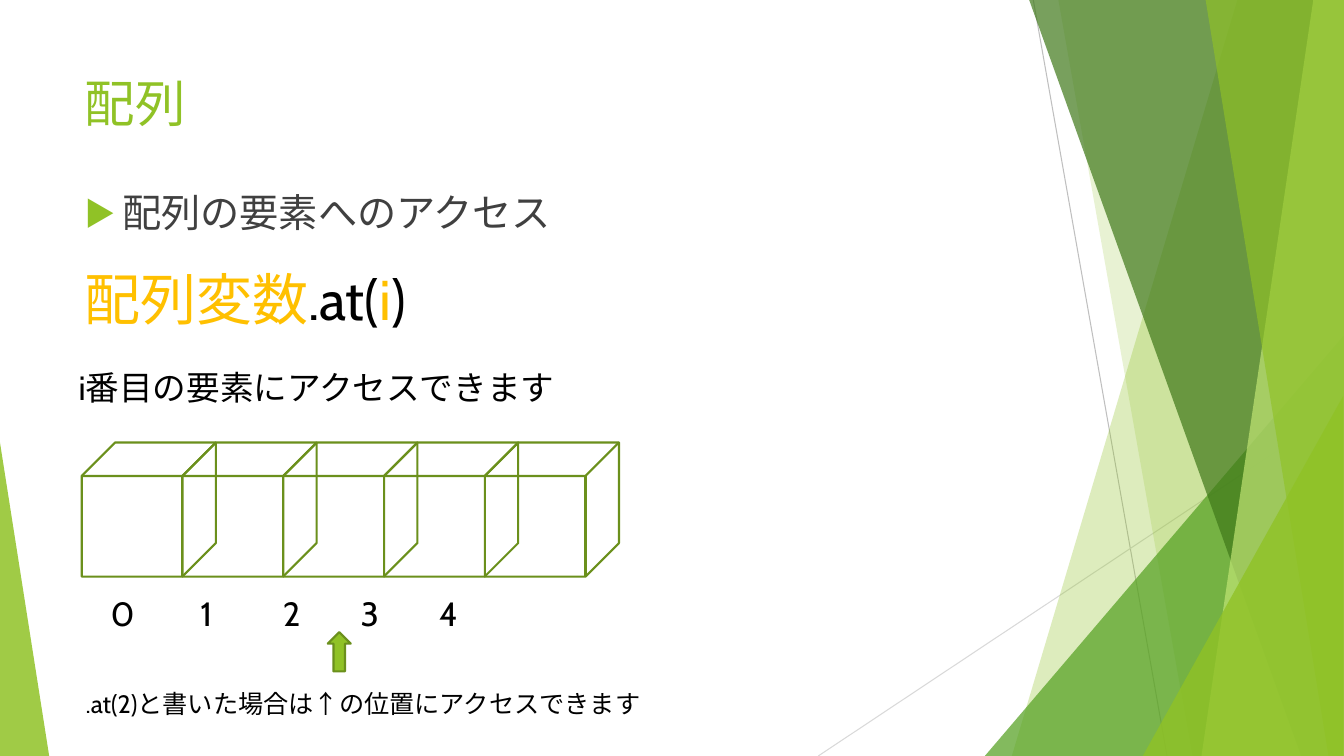
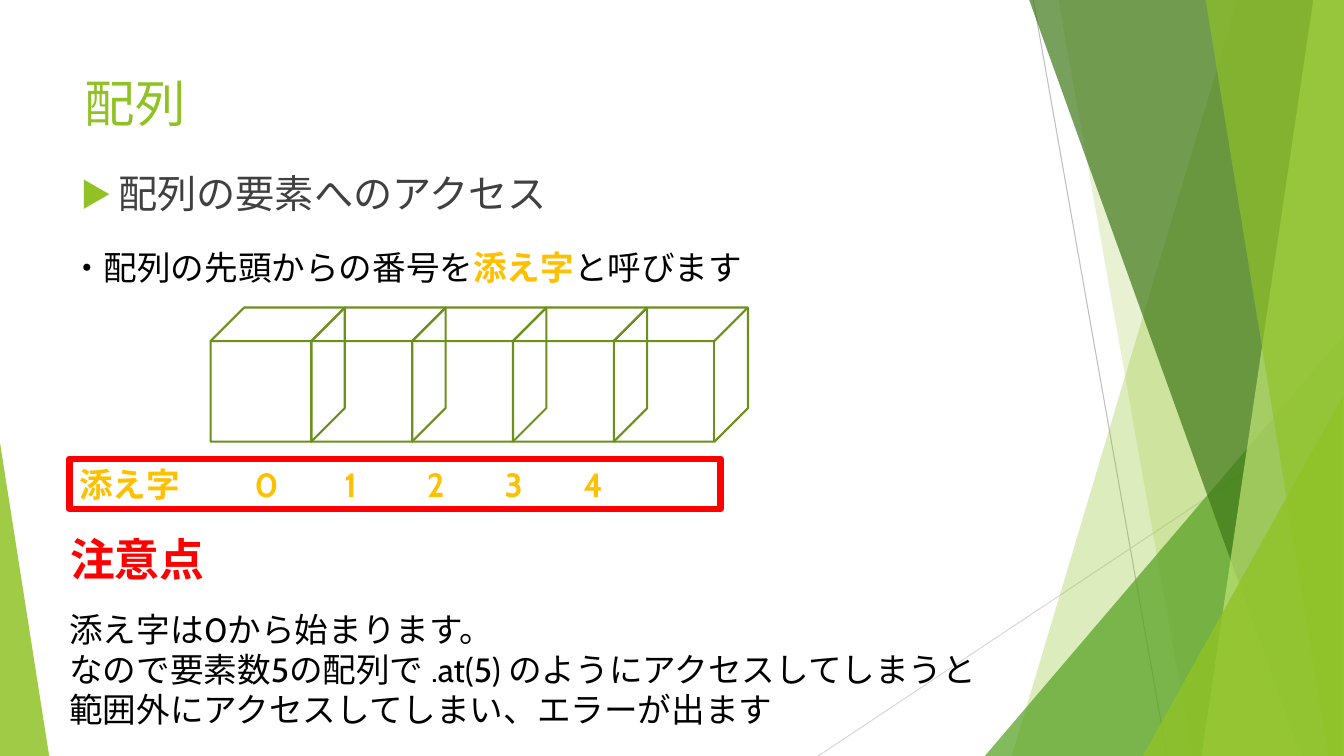
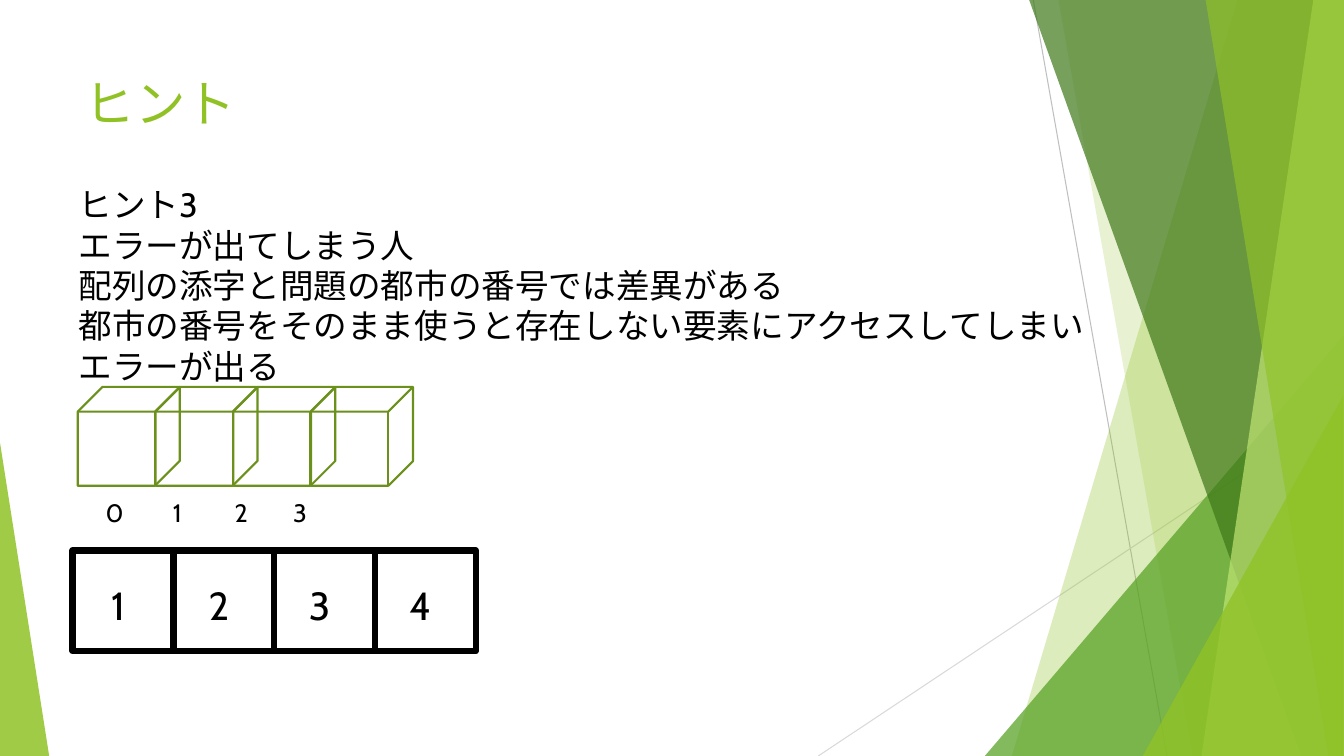
import pptx
import pptx.dml.color
import pptx.enum.lang
import pptx.enum.shapes
import pptx.enum.text
import pptx.oxml
import pptx.oxml.ns
import pptx.util

Cm = pptx.util.Cm
Pt = pptx.util.Pt
RGBColor = pptx.dml.color.RGBColor
ShapeType = pptx.enum.shapes.MSO_SHAPE
Anchor = pptx.enum.text.MSO_ANCHOR
Align = pptx.enum.text.PP_ALIGN
AutoSize = pptx.enum.text.MSO_AUTO_SIZE
qn = pptx.oxml.ns.qn

GREEN = RGBColor(0x90, 0xC2, 0x26)
MID_GREEN = RGBColor(0x54, 0xA0, 0x21)
DARK_GREEN = RGBColor(0x3F, 0x78, 0x19)
PALE_GREEN = RGBColor(0xC0, 0xE4, 0x74)
OUTLINE_GREEN = RGBColor(0x6B, 0x90, 0x1C)
LINE_GREY = RGBColor(0xBF, 0xBF, 0xBF)
PALE_GREY = RGBColor(0xD9, 0xD9, 0xD9)
TEXT_GREY = RGBColor(0x40, 0x40, 0x40)
BLACK = RGBColor(0, 0, 0)
RED = RGBColor(0xFF, 0, 0)
AMBER = RGBColor(0xFF, 0xC0, 0)

TEXT_FONT = "Cabin"
HEADING_FONT = "Noto Sans CJK JP"

SLIDE_WIDTH, SLIDE_HEIGHT = 33.87, 19.05
TITLE_BOX = (1.88, 1.7, 23.88, 3.66)
BODY_SIZE = (23.88, 10.77)
BAND_TOP = -0.02
INDEX_STOPS = (0, 2.26, 4.34, 6.3, 8.28)
INDEX_STOP_SIZE = 24

DECORATION_LINES = [
    ((26.04, 0), (29.41, SLIDE_HEIGHT), LINE_GREY),
    ((SLIDE_WIDTH, 10.24), (20.62, SLIDE_HEIGHT), PALE_GREY),
]
DECORATIONS = [
    ("band", (31.19, 25.5), GREEN, 30),
    ("band", (26.67, 30.05), GREEN, 20),
    ("triangle", (24.82, 8.46, 9.04, 10.59, 1), MID_GREEN, 72),
    ("band", (25.93, 32.79), DARK_GREEN, 70),
    ("band", (33.1, 30.28), PALE_GREEN, 70),
    ("band", (30.38, 33.48), GREEN, 65),
    ("triangle", (28.8, 9.98, 5.05, 9.07, 1), GREEN, 80),
    ("triangle", (0, 11.15, 1.24, 7.9, 0), GREEN, 85),
]

ARRAY_TITLE = "配列"
ARRAY_TOPIC = "配列の要素へのアクセス"
ACCESS_FORM = [[("配列変数", AMBER), (".at(", BLACK), ("i", AMBER), (")", BLACK)]]
ACCESS_MEANING = [[("i番目の要素にアクセスできます", BLACK)]]
ACCESS_EXAMPLE = [[(".at(2)と書いた場合は↑の位置にアクセスできます", BLACK)]]
INDEX_MEANING = [[("・配列の先頭からの番号を", BLACK), ("添え字", AMBER, True),
                  ("と呼びます", BLACK)]]
CAUTION = [[("注意点", RED, True)]]
CAUTION_LINES = [
    "添え字は0から始まります。",
    "なので要素数5の配列で .at(5) のようにアクセスしてしまうと",
    "範囲外にアクセスしてしまい、エラーが出ます",
]
HINT_TITLE = "ヒント"
HINT_LINES = [
    "ヒント3",
    "エラーが出てしまう人",
    "配列の添字と問題の都市の番号では差異がある",
    "都市の番号をそのまま使うと存在しない要素にアクセスしてしまい",
    "エラーが出る",
]
CITY_NUMBERS = ["1", "2", "3", "4"]


def box(left, top, width, height):
    return Cm(left), Cm(top), Cm(width), Cm(height)


def add_xml(parent, tag, **attributes):
    element = pptx.oxml.parse_xml(f"<a:{tag} {pptx.oxml.ns.nsdecls('a')}/>")
    for name, value in attributes.items():
        element.set(name, str(value))
    parent.append(element)
    return element


def format_run(run, size, colour, bold=False, font_name=TEXT_FONT):
    font = run.font
    font.name, font.size, font.bold = font_name, Pt(size), bold
    font.color.rgb = colour
    font.language_id = pptx.enum.lang.MSO_LANGUAGE_ID.JAPANESE
    add_xml(run.font._element, "ea", typeface=TEXT_FONT)


def fill_text(text_frame, paragraphs, size):
    text_frame.word_wrap = True
    for number, pieces in enumerate(paragraphs):
        paragraph = text_frame.add_paragraph() if number else text_frame.paragraphs[0]
        paragraph.alignment = Align.LEFT
        for text, *style in pieces:
            run = paragraph.add_run()
            run.text = text
            format_run(run, size, *style)


def plain(lines):
    return [[(line, BLACK)] for line in lines]


def add_text(slide, position, paragraphs, size):
    text_box = slide.shapes.add_textbox(*box(*position))
    fill_text(text_box.text_frame, paragraphs, size)
    text_box.text_frame.auto_size = AutoSize.SHAPE_TO_FIT_TEXT
    return text_box


def add_outline(slide, kind, position, colour, width):
    shape = slide.shapes.add_shape(kind, *box(*position))
    shape.shadow.inherit = False
    shape.fill.background()
    shape.line.color.rgb = colour
    shape.line.width = Pt(width)
    return shape


def add_cubes(slide, count, left, top, width, height, pitch):
    for number in range(count):
        position = (left + number * pitch, top, width, height)
        add_outline(slide, ShapeType.CUBE, position, OUTLINE_GREEN, 1.5)


def set_index_stops(text_frame, size, start=0):
    properties = text_frame.paragraphs[0]._p.get_or_add_pPr()
    stops = add_xml(properties, "tabLst")
    for offset in INDEX_STOPS:
        position = start + offset * size / INDEX_STOP_SIZE
        if position:
            add_xml(stops, "tab", pos=int(Cm(position)), algn="l")


def index_text(count):
    return "\t".join(str(number) for number in range(count))


def add_index_row(slide, position, count, size):
    row = add_text(slide, position, plain([index_text(count)]), size)
    set_index_stops(row.text_frame, size)


def place_heading(shape, position, text, size, colour):
    shape.left, shape.top, shape.width, shape.height = box(*position)
    text_frame = shape.text_frame
    text_frame.text = text
    text_frame.auto_size = AutoSize.NONE
    text_frame.vertical_anchor = Anchor.TOP
    paragraph = text_frame.paragraphs[0]
    paragraph.alignment = Align.LEFT
    format_run(paragraph.runs[0], size, colour, font_name=HEADING_FONT)
    return paragraph


def start_slide(presentation, title, topic=None, topic_corner=None):
    layout = presentation.slide_layouts[1 if topic else 5]
    slide = presentation.slides.add_slide(layout)
    place_heading(slide.shapes.title, TITLE_BOX, title, 36, GREEN)
    if topic:
        paragraph = place_heading(slide.placeholders[1], topic_corner + BODY_SIZE,
                                  topic, 28, TEXT_GREY)
        paragraph.space_before = Pt(10)
        properties = paragraph._p.get_or_add_pPr()
        properties.set("marL", str(int(Cm(0.95))))
        properties.set("indent", str(int(Cm(-0.95))))
        add_xml(add_xml(properties, "buClr"), "srgbClr", val=GREEN)
        add_xml(properties, "buSzPct", val=80000)
        add_xml(properties, "buFont", typeface=HEADING_FONT)
        add_xml(properties, "buChar", char="▶")
    return slide


def draw_decoration(shapes, kind, geometry, colour, opacity):
    if kind == "band":
        top_left, bottom_left = geometry
        builder = shapes.build_freeform(Cm(top_left), Cm(BAND_TOP))
        corners = [(SLIDE_WIDTH, BAND_TOP), (SLIDE_WIDTH, SLIDE_HEIGHT),
                   (bottom_left, SLIDE_HEIGHT)]
        builder.add_line_segments([(Cm(x), Cm(y)) for x, y in corners])
        shape = builder.convert_to_shape()
    else:
        *position, apex = geometry
        shape = shapes.add_shape(ShapeType.ISOSCELES_TRIANGLE, *box(*position))
        shape.adjustments[0] = apex
    shape.shadow.inherit = False
    shape.line.fill.background()
    shape.fill.solid()
    shape.fill.fore_color.rgb = colour
    add_xml(shape.element.spPr.find(".//" + qn("a:srgbClr")), "alpha", val=opacity * 1000)
    return shape


def decorate_master(presentation, slide):
    drawn = []
    for start, end, colour in DECORATION_LINES:
        connector = slide.shapes.add_connector(
            pptx.enum.shapes.MSO_CONNECTOR.STRAIGHT,
            *[Cm(value) for value in start + end])
        connector.line.color.rgb = colour
        connector.line.width = Pt(0.75)
        add_xml(connector.element.spPr, "effectLst")
        drawn.append(connector)
    drawn += [draw_decoration(slide.shapes, *item) for item in DECORATIONS]
    master_tree = presentation.slide_master.shapes.element
    for number, shape in enumerate(drawn):
        shape.element.find(".//" + qn("p:cNvPr")).set("id", str(100 + number))
        master_tree.insert(2 + number, shape.element)


def build_access_slide(presentation):
    slide = start_slide(presentation, ARRAY_TITLE, ARRAY_TOPIC, (1.88, 4.62))
    decorate_master(presentation, slide)
    add_text(slide, (1.88, 6.55, 23.04, 1.96), ACCESS_FORM, 40)
    add_text(slide, (1.73, 9.12, 21.82, 1.27), ACCESS_MEANING, 24)
    add_cubes(slide, 5, 2.06, 11.15, 3.38, 3.38, 2.54)
    add_index_row(slide, (2.54, 14.81, 16.41, 1.27), 5, 24)
    arrow = add_outline(slide, ShapeType.UP_ARROW, (8.26, 15.93, 0.58, 0.99),
                        OUTLINE_GREEN, 1.5)
    arrow.fill.solid()
    arrow.fill.fore_color.rgb = GREEN
    add_text(slide, (1.91, 17.22, 14.91, 1.02), ACCESS_EXAMPLE, 18)


def build_index_slide(presentation):
    slide = start_slide(presentation, ARRAY_TITLE, ARRAY_TOPIC, (1.78, 4.14))
    add_text(slide, (1.52, 6.1, 19.2, 1.3), INDEX_MEANING, 24)
    add_cubes(slide, 5, 5.31, 7.75, 3.38, 3.38, 2.54)
    frame = add_outline(slide, ShapeType.RECTANGLE, (1.75, 11.56, 16.41, 1.27), RED, 4.5)
    fill_text(frame.text_frame, [[("添え字\t" + index_text(5), AMBER, True)]], 24)
    set_index_stops(frame.text_frame, 24, 4.42)
    add_text(slide, (1.52, 13.28, 7.62, 1.63), CAUTION, 32)
    add_text(slide, (1.5, 15.21, 26.24, 3.33), plain(CAUTION_LINES), 24)


def build_hint_slide(presentation):
    slide = start_slide(presentation, HINT_TITLE)
    add_index_row(slide, (2.41, 12.4, 7.57, 1.02), 4, 18)
    add_cubes(slide, 4, 1.96, 9.75, 2.57, 2.49, 1.96)
    cell_size = 2.54
    for number, city in enumerate(CITY_NUMBERS):
        position = (1.83 + number * cell_size, 13.87, cell_size, cell_size)
        cell = add_outline(slide, ShapeType.RECTANGLE, position, BLACK, 4.5)
        fill_text(cell.text_frame, plain([city]), 28)
        cell.text_frame.paragraphs[0].alignment = Align.CENTER
        cell.text_frame.margin_left = 0
        cell.text_frame.margin_top = Cm(0.33)
    add_text(slide, (1.73, 4.52, 28.42, 6.15), plain(HINT_LINES), 24)


def main():
    presentation = pptx.Presentation()
    presentation.slide_width = Cm(SLIDE_WIDTH)
    presentation.slide_height = Cm(SLIDE_HEIGHT)
    build_access_slide(presentation)
    build_index_slide(presentation)
    build_hint_slide(presentation)
    presentation.save("out.pptx")


if __name__ == "__main__":
    main()
